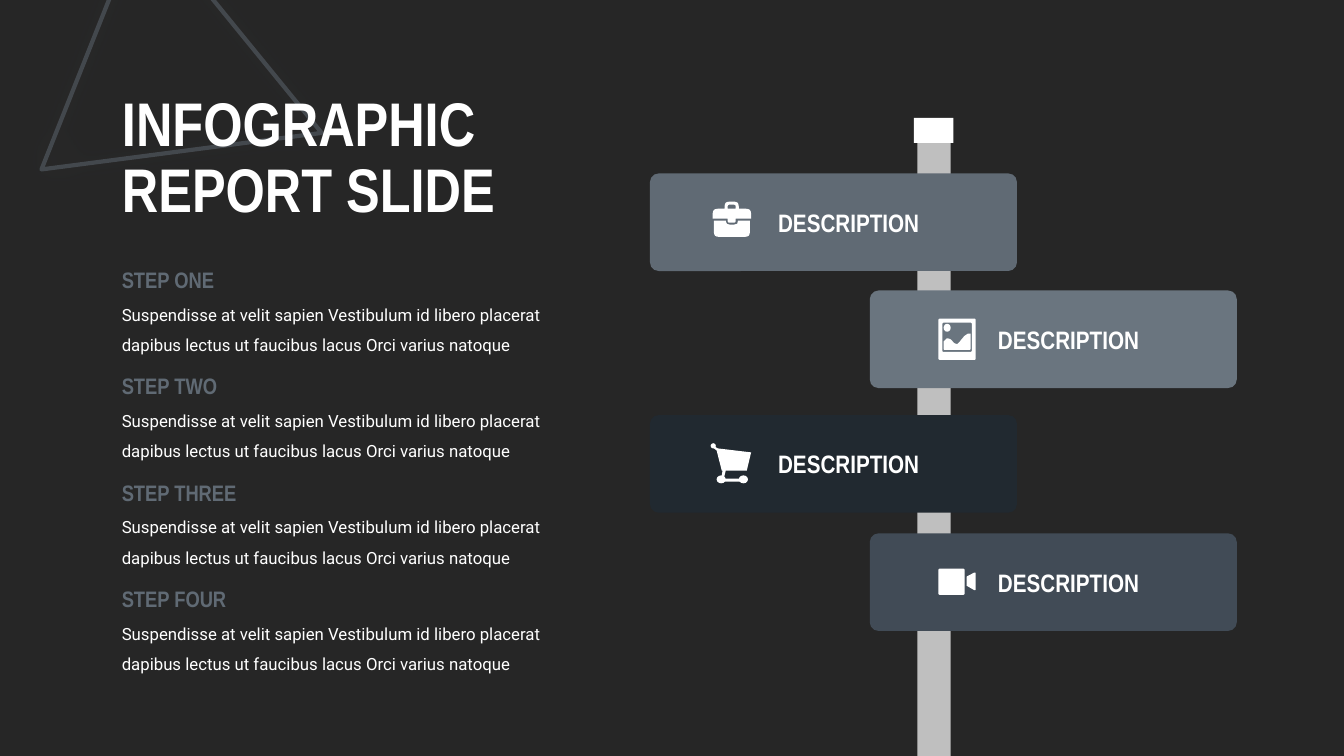
from lxml import etree
from pptx import Presentation
from pptx.dml.color import RGBColor
from pptx.enum.shapes import MSO_SHAPE
from pptx.enum.text import MSO_ANCHOR, MSO_AUTO_SIZE, PP_ALIGN
from pptx.oxml.ns import qn
from pptx.util import Cm, Pt

RECTANGLE = MSO_SHAPE.RECTANGLE
ROUNDED = MSO_SHAPE.ROUNDED_RECTANGLE
OVAL = MSO_SHAPE.OVAL
TRIANGLE = MSO_SHAPE.ISOSCELES_TRIANGLE
MIDDLE, TOP = MSO_ANCHOR.MIDDLE, MSO_ANCHOR.TOP
GROW, FIXED = MSO_AUTO_SIZE.SHAPE_TO_FIT_TEXT, MSO_AUTO_SIZE.NONE
LEFT = PP_ALIGN.LEFT

COLORS = {
    "background": "262626", "white": "FFFFFF", "post": "BFBFBF",
    "slate": "606A74", "steel": "6A757F", "navy": "212930", "ink": "414B56",
}

# Text formats: font attributes, then colour and line spacing
TITLE = ({"name": "Arial Narrow", "size": Pt(44), "bold": True}, "white", 0.9)
LABEL = ({"name": "Arial Narrow", "size": Pt(18), "bold": True}, "white", 1.0)
HEADING = ({"name": "Arial Narrow", "size": Pt(16), "bold": True}, "slate", 1.0)
BODY = ({"name": "Roboto", "size": Pt(12), "bold": False}, "white", 1.5)

STEPS = ["STEP ONE", "STEP TWO", "STEP THREE", "STEP FOUR"]
STEP_TEXT = ("Suspendisse at velit sapien Vestibulum id libero placerat "
             "dapibus lectus ut faucibus lacus Orci varius natoque")

# Icons in hundredths of a cm: corners are (x, y, radius), dots are boxes
BRIEFCASE = {
    "contours": [
        [(0, 18, 13), (30, 18, 0), (30, 0, 13), (66, 0, 13), (66, 18, 0),
         (97, 18, 13), (97, 43, 0), (58, 43, 0), (58, 53, 5), (38, 53, 5),
         (38, 43, 0), (0, 43, 0)],
        [(38, 18, 0), (38, 8, 5), (58, 8, 5), (58, 18, 0)],
        [(3, 48, 0), (33, 48, 0), (33, 58, 10), (64, 58, 10), (64, 48, 0),
         (94, 48, 0), (94, 89, 13), (3, 89, 13)],
    ],
    "dots": [],
}
PHOTO = {
    "contours": [
        [(0, 0, 5), (94, 0, 5), (94, 104, 5), (0, 104, 5)],
        [(10, 10, 3), (84, 10, 3), (84, 84, 3), (10, 84, 3)],
        [(13, 58, 0), (25, 46, 10), (46, 68, 10), (70, 38, 8), (81, 38, 0),
         (81, 79, 3), (13, 79, 3)],
    ],
    "dots": [(13, 13, 18, 20)],
}
CART = {
    "contours": [
        [(10, 8, 0), (18, 13, 0), (102, 23, 0), (91, 69, 0), (38, 69, 0),
         (33, 89, 0), (81, 89, 0), (81, 97, 0), (25, 97, 0), (30, 69, 0),
         (28, 69, 0), (15, 18, 0), (8, 13, 0)],
    ],
    "dots": [(0, 0, 13, 13), (15, 81, 23, 20), (71, 81, 23, 20)],
}
CAMERA = {
    "contours": [
        [(0, 0, 5), (66, 0, 5), (66, 66, 5), (0, 66, 5)],
        [(71, 20, 0), (94, 8, 5), (94, 56, 5), (71, 43, 0)],
    ],
    "dots": [],
}

# Signs: left, top, colour, icon and the icon's place on the sign
SIGNS = [
    (16.38, 4.37, "slate", BRIEFCASE, (1.58, 0.71)),
    (21.92, 7.32, "steel", PHOTO, (1.73, 0.71)),
    (16.38, 10.46, "navy", CART, (1.53, 0.71)),
    (21.92, 13.44, "ink", CAMERA, (1.73, 0.89)),
]


def rgb(name):
    return RGBColor.from_string(COLORS[name])


def paint(shape, color):
    shape.shadow.inherit = False
    shape.fill.solid()
    shape.fill.fore_color.rgb = rgb(color)
    shape.line.fill.background()


def add_block(shapes, kind, place, color):
    block = shapes.add_shape(kind, *map(Cm, place))
    paint(block, color)
    return block


def write(box, lines, style, anchor=TOP, fit=GROW):
    font_values, color, spacing = style
    frame = box.text_frame
    frame.word_wrap = True
    frame.auto_size = fit
    frame.vertical_anchor = anchor
    para = frame.paragraphs[0]
    para.alignment = LEFT
    para.line_spacing = spacing
    for number, line in enumerate(lines):
        if number:
            para.add_line_break()
        span = para.add_run()
        span.text = line
        span.font.color.rgb = rgb(color)
        for name, value in font_values.items():
            setattr(span.font, name, value)


def add_text(page, place, text, style):
    write(page.shapes.add_textbox(*map(Cm, place)), [text], style)


def soften(corners):
    """Return the outline's points, with each corner rounded by its radius."""
    points = []
    for index, (x, y, radius) in enumerate(corners):
        if not radius:
            points.append((x, y))
            continue
        ends = []
        for other in (corners[index - 1], corners[(index + 1) % len(corners)]):
            dx, dy = other[0] - x, other[1] - y
            share = radius / (dx * dx + dy * dy) ** 0.5
            ends.append((x + dx * share, y + dy * share))
        (ax, ay), (bx, by) = ends
        for step in range(5):
            t = step / 4
            points.append(((1 - t) ** 2 * ax + 2 * t * (1 - t) * x + t * t * bx,
                           (1 - t) ** 2 * ay + 2 * t * (1 - t) * y + t * t * by))
    return points


def add_icon(page, icon, left, top):
    group = page.shapes.add_group_shape()
    first, *others = [soften(corners) for corners in icon["contours"]]
    builder = group.shapes.build_freeform(*first[0], scale=Cm(0.01))
    builder.add_line_segments(first[1:], close=True)
    for points in others:
        builder.move_to(*points[0])
        builder.add_line_segments(points[1:], close=True)
    paint(builder.convert_to_shape(Cm(left), Cm(top)), "white")
    for x, y, width, height in icon["dots"]:
        place = (left + x / 100, top + y / 100, width / 100, height / 100)
        add_block(group.shapes, OVAL, place, "white")


def add_sign(page, left, top, color, icon, offset):
    sign = add_block(page.shapes, ROUNDED, (left, top, 9.25, 2.46), color)
    sign.adjustments[0] = 0.09
    add_icon(page, icon, left + offset[0], top + offset[1])
    add_text(page, (left + 2.98, top + 0.72, 4.78, 1.02), "DESCRIPTION", LABEL)


def add_alpha(color_element, percent):
    etree.SubElement(color_element, qn("a:alpha"), val=str(percent * 1000))


def add_triangle(page):
    triangle = page.shapes.add_shape(TRIANGLE, *map(Cm, (1.75, -0.91, 6.93, 6.22)))
    triangle.rotation = 111.7
    triangle.fill.background()
    triangle.line.color.rgb = rgb("slate")
    triangle.line.width = Pt(3)
    add_alpha(triangle.element.xpath(".//a:ln//a:srgbClr")[0], 50)
    # Soft shadow without offset
    triangle.shadow.inherit = False
    effects = triangle.element.xpath(".//a:effectLst")[0]
    shadow = etree.SubElement(effects, qn("a:outerShdw"), blurRad=str(Pt(25)))
    add_alpha(etree.SubElement(shadow, qn("a:srgbClr"), val=COLORS["slate"]), 35)


def add_title(page):
    title = page.shapes.title
    title.left, title.top, title.width, title.height = map(Cm, (2.82, 2.01, 14.27, 4.01))
    write(title, ["INFOGRAPHIC", "REPORT SLIDE"], TITLE, MIDDLE, FIXED)
    # Bring the title in front of the triangle
    title.element.getparent().append(title.element)


def main():
    deck = Presentation()
    deck.slide_width, deck.slide_height = Cm(33.87), Cm(19.05)
    page = deck.slides.add_slide(deck.slide_layouts[5])
    page.background.fill.solid()
    page.background.fill.fore_color.rgb = rgb("background")

    add_triangle(page)
    add_title(page)

    # Signpost
    post = page.shapes.add_group_shape()
    add_block(post.shapes, RECTANGLE, (23.12, 3.35, 0.84, 15.7), "post")
    add_block(post.shapes, RECTANGLE, (23.03, 2.97, 1, 0.63), "white")
    for sign in SIGNS:
        add_sign(page, *sign)

    # Steps
    for number, heading in enumerate(STEPS):
        top = 6.58 + 2.68 * number
        add_text(page, (2.82, top + 0.71, 11.43, 1.7), STEP_TEXT, BODY)
        add_text(page, (2.82, top, 6.22, 0.94), heading, HEADING)

    deck.save("out.pptx")


if __name__ == "__main__":
    main()
